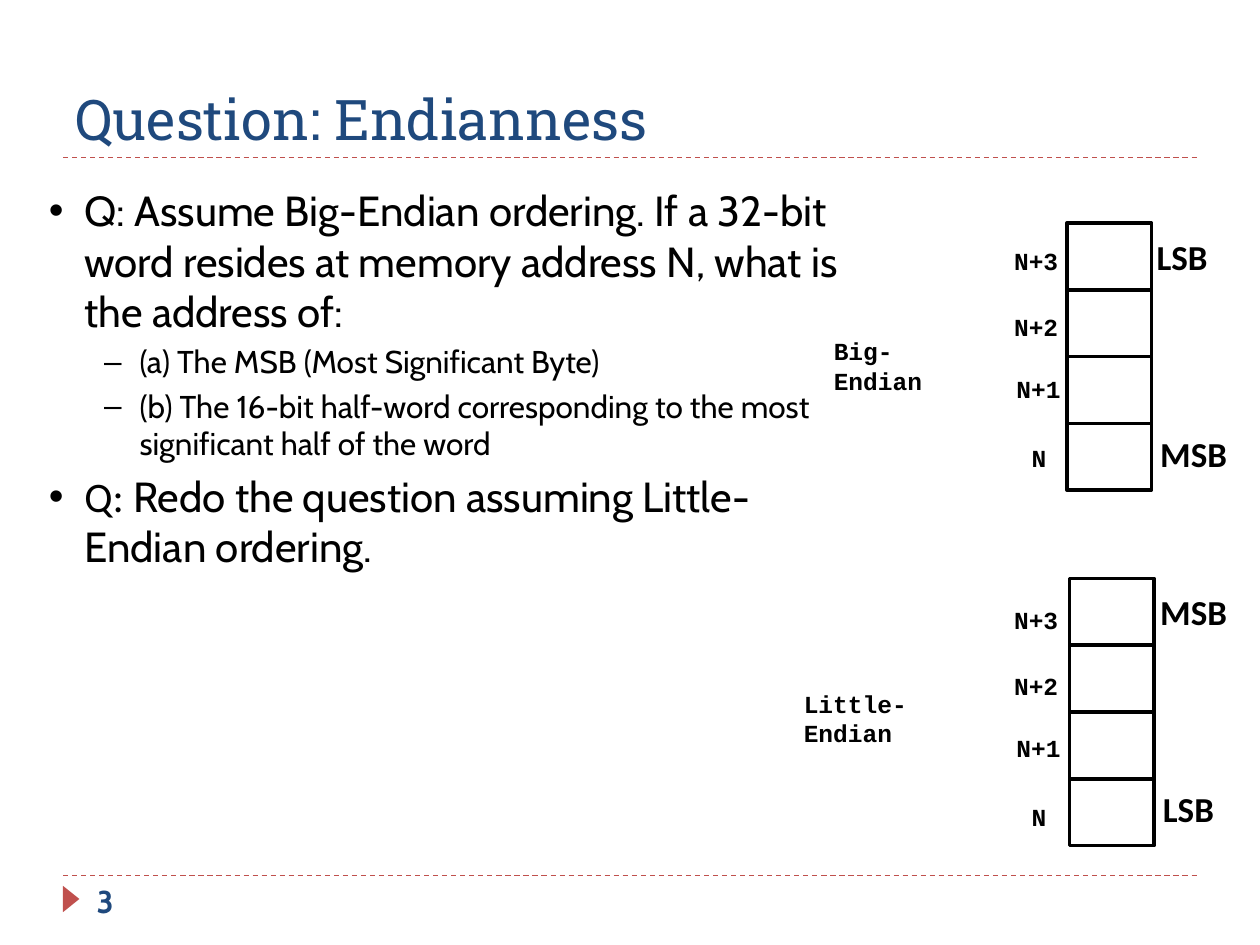
from dataclasses import dataclass
from typing import Any

from lxml import etree
from pptx import Presentation
from pptx.dml.color import RGBColor
from pptx.enum.dml import MSO_LINE
from pptx.enum.shapes import MSO_CONNECTOR, MSO_SHAPE
from pptx.enum.text import MSO_ANCHOR
from pptx.oxml.ns import qn
from pptx.util import Pt

RECTANGLE = MSO_SHAPE.RECTANGLE
TRIANGLE = MSO_SHAPE.ISOSCELES_TRIANGLE
STRAIGHT = MSO_CONNECTOR.STRAIGHT
DASH = MSO_LINE.DASH
TOP, BOTTOM = MSO_ANCHOR.TOP, MSO_ANCHOR.BOTTOM

COLORS = {"black": "000000", "white": "FFFFFF", "navy": "1F497D", "red": "C0504D"}
CELL_WIDTH, CELL_HEIGHT = 48.2, 38.2


@dataclass(frozen=True)
class Label:
    text: str
    left: float
    top: float
    width: float = 56.9


@dataclass(frozen=True)
class Memory:
    left: float
    top: float
    address_top: float
    order: Label
    byte_labels: tuple[Label, ...]


@dataclass(frozen=True)
class Bullet:
    spans: tuple[tuple[str, str], ...]
    level: int = 0
    space_before: float = 0


@dataclass(frozen=True)
class BulletStyle:
    symbol: str
    size: float
    margin: float


ADDRESSES = (
    Label("N+3", 572.4, 0, 48.2),
    Label("N+2", 572.4, 38, 48.2),
    Label("N+1", 573.8, 73.6, 48.2),
    Label("N", 582.5, 113, 28.8),
)

MEMORIES = (
    Memory(609.8, 127.4, 136.8, Label("Big-Endian", 469.4, 188.6, 90.7),
           (Label("LSB", 653.8, 131), Label("MSB", 655.9, 243.4))),
    Memory(611.3, 330.5, 342, Label("Little-Endian", 452.2, 390.2, 106.6),
           (Label("MSB", 655.9, 334.1), Label("LSB", 657.4, 446.4))),
)

BULLET_STYLES = (BulletStyle("•", 24, 20.2), BulletStyle("–", 18, 51.8))

BULLETS = (
    Bullet((("Q: Assume Big-Endian ordering. If a 32-bit word resides at memory "
             "address N, what is the address of:", "Cabin"),)),
    Bullet((("(a) The MSB (Most Significant Byte)", "Cabin"),), 1, 3.6),
    Bullet((("(b) The 16-bit half-word corresponding to the most significant "
             "half of the word", "Cabin"),), 1, 3.6),
    Bullet((("Q: ", "Calibri"),
            ("Redo the question assuming Little-Endian ordering.", "Cabin")), 0, 4.8),
)


def rgb(name: str) -> RGBColor:
    return RGBColor.from_string(COLORS[name])


def add_span(para: Any, text: str, *, size: float, font: str,
             color: str = "black", bold: bool = False) -> None:
    span = para.add_run()
    span.text = text
    span.font.size = Pt(size)
    span.font.name = font
    span.font.bold = bold
    span.font.color.rgb = rgb(color)


def add_box(page: Any, left: float, top: float, width: float, height: float,
            anchor: MSO_ANCHOR = TOP) -> Any:
    box = page.shapes.add_textbox(Pt(left), Pt(top), Pt(width), Pt(height))
    box.text_frame.word_wrap = True
    box.text_frame.vertical_anchor = anchor
    return box


def add_label(page: Any, label: Label, top: float = 0, *, height: float = 28.8,
              **text_format: Any) -> None:
    box = add_box(page, label.left, top + label.top, label.width, height)
    add_span(box.text_frame.paragraphs[0], label.text, bold=True, **text_format)


def add_rule(page: Any, top: float) -> None:
    rule = page.shapes.add_connector(STRAIGHT, Pt(36), Pt(top), Pt(684), Pt(top))
    rule.line.color.rgb = rgb("red")
    rule.line.width = Pt(0.75)
    rule.line.dash_style = DASH
    etree.SubElement(rule._element.spPr, qn("a:effectLst"))


def add_memory(page: Any, memory: Memory) -> None:
    group = page.shapes.add_group_shape()
    for row in range(len(ADDRESSES)):
        cell = group.shapes.add_shape(
            RECTANGLE, Pt(memory.left), Pt(memory.top + row * CELL_HEIGHT),
            Pt(CELL_WIDTH), Pt(CELL_HEIGHT))
        cell.shadow.inherit = False
        cell.fill.solid()
        cell.fill.fore_color.rgb = rgb("white")
        cell.line.color.rgb = rgb("black")
        cell.line.width = Pt(2)
    for label in memory.byte_labels:
        add_label(page, label, height=31.7, size=20, font="Calibri")
    add_label(page, memory.order, size=14, font="Courier New")
    for address in ADDRESSES:
        add_label(page, address, memory.address_top, size=14, font="Courier New")


def add_bullets(page: Any) -> None:
    frame = add_box(page, 20.9, 102.2, 465.1, 360).text_frame
    for index, bullet in enumerate(BULLETS):
        para = frame.add_paragraph() if index else frame.paragraphs[0]
        style = BULLET_STYLES[bullet.level]
        para.level = bullet.level
        if bullet.space_before:
            para.space_before = Pt(bullet.space_before)
        properties = para._p.get_or_add_pPr()
        properties.set("marL", str(Pt(style.margin)))
        properties.set("indent", str(-Pt(20.2)))
        etree.SubElement(properties, qn("a:buFont"), typeface="Arial")
        etree.SubElement(properties, qn("a:buChar"), char=style.symbol)
        for text, font in bullet.spans:
            add_span(para, text, size=style.size, font=font)


def add_frame(page: Any) -> None:
    for top in (500.4, 90):
        add_rule(page, top)
    marker = page.shapes.add_shape(TRIANGLE, Pt(33.1), Pt(509), Pt(15.1), Pt(9.4))
    marker.rotation = 90
    marker.shadow.inherit = False
    marker.fill.solid()
    marker.fill.fore_color.rgb = rgb("red")
    marker.line.fill.background()
    title = add_box(page, 36, 18, 648, 72, BOTTOM)
    add_span(title.text_frame.paragraphs[0], "Question: Endianness",
             size=32, font="Roboto Slab", color="navy")
    number = add_box(page, 48.2, 500.4, 156.2, 28.8)
    add_span(number.text_frame.paragraphs[0], "3",
             size=18, font="Cabin", color="navy", bold=True)


def main() -> None:
    deck = Presentation()
    deck.slide_width, deck.slide_height = Pt(720), Pt(540)
    page = deck.slides.add_slide(deck.slide_layouts[6])
    add_frame(page)
    add_bullets(page)
    for memory in MEMORIES:
        add_memory(page, memory)
    deck.save("out.pptx")


if __name__ == "__main__":
    main()
